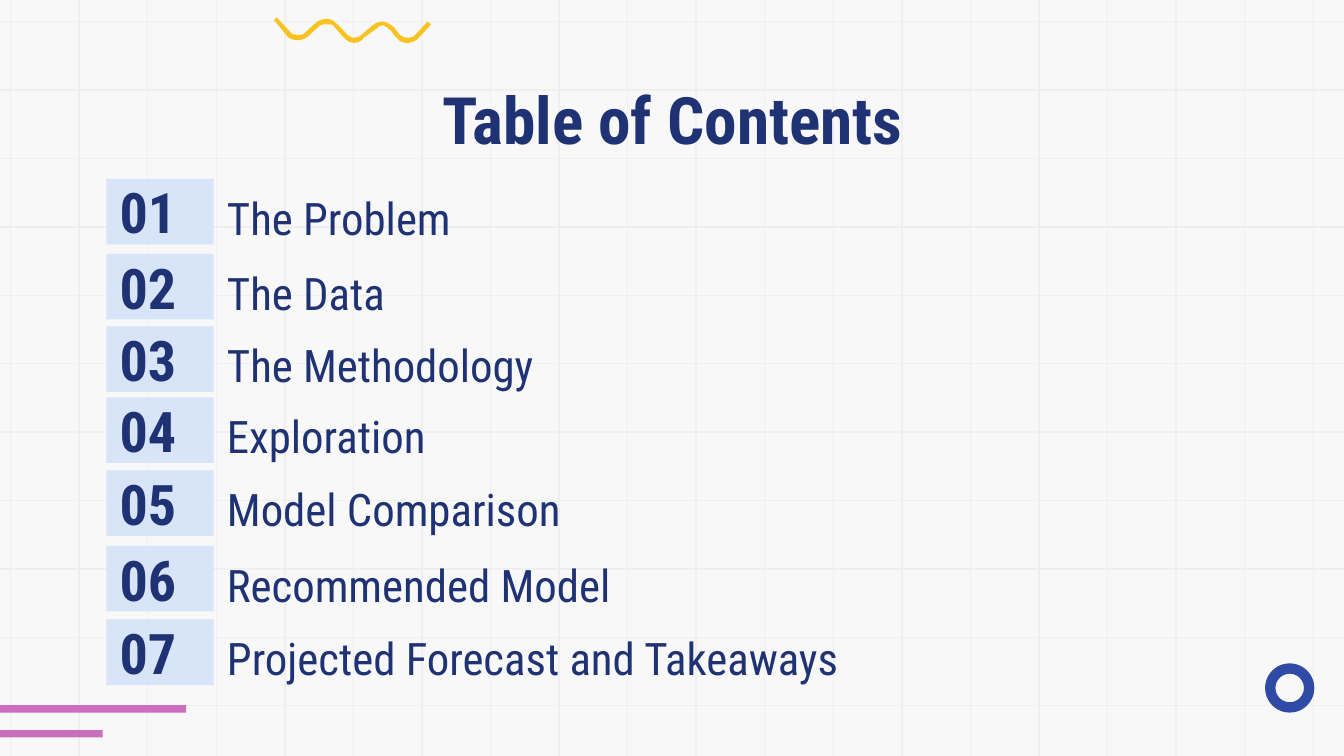
"""Build the Table of Contents slide."""
from lxml import etree
from pptx import Presentation, util as u
from pptx.dml.color import RGBColor
from pptx.enum import shapes, text
from pptx.oxml.ns import qn

TITLE = "Table of Contents"
SECTIONS = [
    ("The Problem", 3.38, 8.03),
    ("The Data", 4.8, 8.03),
    ("The Methodology", 6.17, 8.03),
    ("Exploration", 7.51, 8.03),
    ("Model Comparison", 8.89, 8.03),
    ("Recommended Model", 10.32, 8.03),
    ("Projected Forecast and Takeaways", 11.71, 12.42),
]
COLORS = {
    "paper": "F8F8F8", "grid": "EFEFEF", "ink": "1F3374", "badge": "D8E4F7",
    "bar": "CB6EBE", "ring": "304BA6", "wave": "F8C220",
}
SLIDE_WIDTH, SLIDE_HEIGHT = 25.4, 14.29
ROWS = {"first": 0.41, "last": 13.34, "count": 11}
COLUMNS = {"first": 0.2, "last": 24.82, "count": 20}
GRID_TOP, GRID_BOTTOM = -0.46, 14.73
BADGE_LEFT, BADGE_WIDTH, ROW_HEIGHT, LABEL_DROP = 2.01, 2.03, 1.24, 0.03

ORNAMENTS = [
    ("RECTANGLE", "bar", (0, 13.33, 3.52, 0.14)),
    ("RECTANGLE", "bar", (0, 13.8, 1.94, 0.14)),
    ("DONUT", "ring", (23.91, 12.54, 0.93, 0.93)),
]
WAVE_START = (523, 33)
WAVE = [
    [(518, 38)], [(541, 66)], [(546, 74), (554, 76), (564, 76)],
    [(569, 76), (577, 74), (582, 69)], [(605, 48)],
    [(607, 46), (612, 46), (617, 46)], [(625, 46), (630, 46), (632, 51)],
    [(648, 69)], [(653, 76), (660, 79), (668, 81)],
    [(676, 81), (683, 79), (688, 71)], [(709, 56)],
    [(714, 51), (719, 48), (724, 48)], [(729, 51), (734, 53), (739, 58)],
    [(747, 69)], [(752, 76), (759, 81), (770, 81)],
    [(777, 81), (785, 79), (792, 71)], [(815, 46)], [(808, 41)], [(785, 66)],
    [(780, 71), (777, 71), (770, 71)], [(762, 71), (759, 69), (754, 64)],
    [(744, 51)], [(739, 46), (732, 43), (724, 41)],
    [(716, 41), (709, 43), (704, 48)], [(683, 66)],
    [(681, 69), (676, 71), (668, 71)], [(663, 71), (658, 69), (655, 64)],
    [(638, 46)], [(632, 41), (627, 36), (615, 36)],
    [(610, 36), (602, 38), (597, 43)], [(574, 64)],
    [(572, 66), (566, 66), (564, 66)], [(556, 66), (551, 64), (549, 61)],
]
TOP, MIDDLE = text.MSO_ANCHOR.TOP, text.MSO_ANCHOR.MIDDLE
LEFT, CENTER = text.PP_ALIGN.LEFT, text.PP_ALIGN.CENTER
STYLES = {
    "title": {"frame": {"vertical_anchor": TOP},
              "paragraph": {"alignment": CENTER, "line_spacing": 1.0},
              "font": {"size": u.Pt(35), "bold": True}},
    "badge": {"frame": {"vertical_anchor": MIDDLE},
              "paragraph": {"alignment": LEFT, "line_spacing": 1.0},
              "font": {"size": u.Pt(30), "bold": True}},
    "label": {"frame": {"vertical_anchor": MIDDLE},
              "paragraph": {"alignment": LEFT, "line_spacing": 1.15},
              "font": {"size": u.Pt(24), "bold": False}},
}
INSETS = {f"margin_{side}": u.Cm(0.25) for side in ("left", "right", "top", "bottom")}
COMMON = {
    "frame": {"word_wrap": True, "auto_size": text.MSO_AUTO_SIZE.NONE, **INSETS},
    "paragraph": {"space_before": u.Pt(0), "space_after": u.Pt(0)},
    "font": {"name": "Roboto Condensed"},
}


def set_attributes(target, values):
    for name, value in values.items():
        setattr(target, name, value)


def place(shape, box):
    set_attributes(shape, dict(zip(("left", "top", "width", "height"), map(u.Cm, box))))


def write(shape, words, style):
    frame = shape.text_frame
    frame.text = words
    paragraph = frame.paragraphs[0]
    font = paragraph.runs[0].font
    for part, target in (("frame", frame), ("paragraph", paragraph), ("font", font)):
        set_attributes(target, {**COMMON[part], **STYLES[style][part]})
    font.color.rgb = RGBColor.from_string(COLORS["ink"])
    properties = paragraph._p.get_or_add_pPr()
    properties.set("marL", "0")
    properties.set("indent", "0")
    etree.SubElement(properties, qn("a:buNone"))


def paint(shape, color):
    shape.shadow.inherit = False
    shape.fill.solid()
    shape.fill.fore_color.rgb = RGBColor.from_string(COLORS[color])
    shape.line.fill.background()


def add_block(slide, kind, color, box):
    shape = slide.shapes.add_shape(getattr(shapes.MSO_SHAPE, kind), *map(u.Cm, box))
    paint(shape, color)
    return shape


def spread(first, last, count):
    return [first + (last - first) * index / (count - 1) for index in range(count)]


def add_grid(slide):
    group = slide.shapes.add_group_shape()
    lines = [(SLIDE_WIDTH, y, 0, y) for y in spread(**ROWS)]
    lines += [(x, GRID_TOP, x, GRID_BOTTOM) for x in spread(**COLUMNS)]
    for ends in lines:
        line = group.shapes.add_connector(shapes.MSO_CONNECTOR.STRAIGHT, *map(u.Cm, ends))
        line.line.width = u.Pt(0.75)
        line.line.color.rgb = RGBColor.from_string(COLORS["grid"])
        etree.SubElement(line._element.spPr, qn("a:effectLst"))
    slide.shapes._spTree.insert(2, group._element)


def curve(start, first, second, end, steps=6):
    for step in range(1, steps + 1):
        t = step / steps
        weights = ((1 - t) ** 3, 3 * t * (1 - t) ** 2, 3 * t * t * (1 - t), t ** 3)
        corners = (start, first, second, end)
        yield tuple(sum(w * c[axis] for w, c in zip(weights, corners)) for axis in (0, 1))


def add_wave(slide):
    points = [WAVE_START]
    for segment in WAVE:
        points += curve(points[-1], *segment) if len(segment) == 3 else segment
    builder = slide.shapes.build_freeform(*WAVE_START, scale=u.Cm(0.01))
    builder.add_line_segments(points[1:], close=True)
    paint(builder.convert_to_shape(), "wave")


def add_sections(slide):
    holders = [holder for holder in slide.placeholders
               if holder.placeholder_format.idx in (1, 2, 3, 4)]
    for index, (name, top, width) in enumerate(SECTIONS):
        badge = add_block(slide, "RECTANGLE", "badge", (BADGE_LEFT, top, BADGE_WIDTH, ROW_HEIGHT))
        write(badge, f"{index + 1:02d}", "badge")
        label = holders[index] if index < len(holders) else slide.shapes.add_textbox(0, 0, 0, 0)
        place(label, (BADGE_LEFT + BADGE_WIDTH, top + LABEL_DROP, width, ROW_HEIGHT))
        write(label, name, "label")


def main():
    presentation = Presentation()
    set_attributes(presentation, {"slide_width": u.Cm(SLIDE_WIDTH),
                                  "slide_height": u.Cm(SLIDE_HEIGHT)})
    slide = presentation.slides.add_slide(presentation.slide_layouts.get_by_name("Comparison"))
    slide.background.fill.solid()
    slide.background.fill.fore_color.rgb = RGBColor.from_string(COLORS["paper"])
    add_grid(slide)
    for kind, color, box in ORNAMENTS:
        shape = add_block(slide, kind, color, box)
        if kind == "DONUT":
            shape.adjustments[0] = 0.21
    add_wave(slide)
    place(slide.shapes.title, (2.01, 1.24, 21.41, 1.6))
    write(slide.shapes.title, TITLE, "title")
    add_sections(slide)
    presentation.save("out.pptx")


if __name__ == "__main__":
    main()
